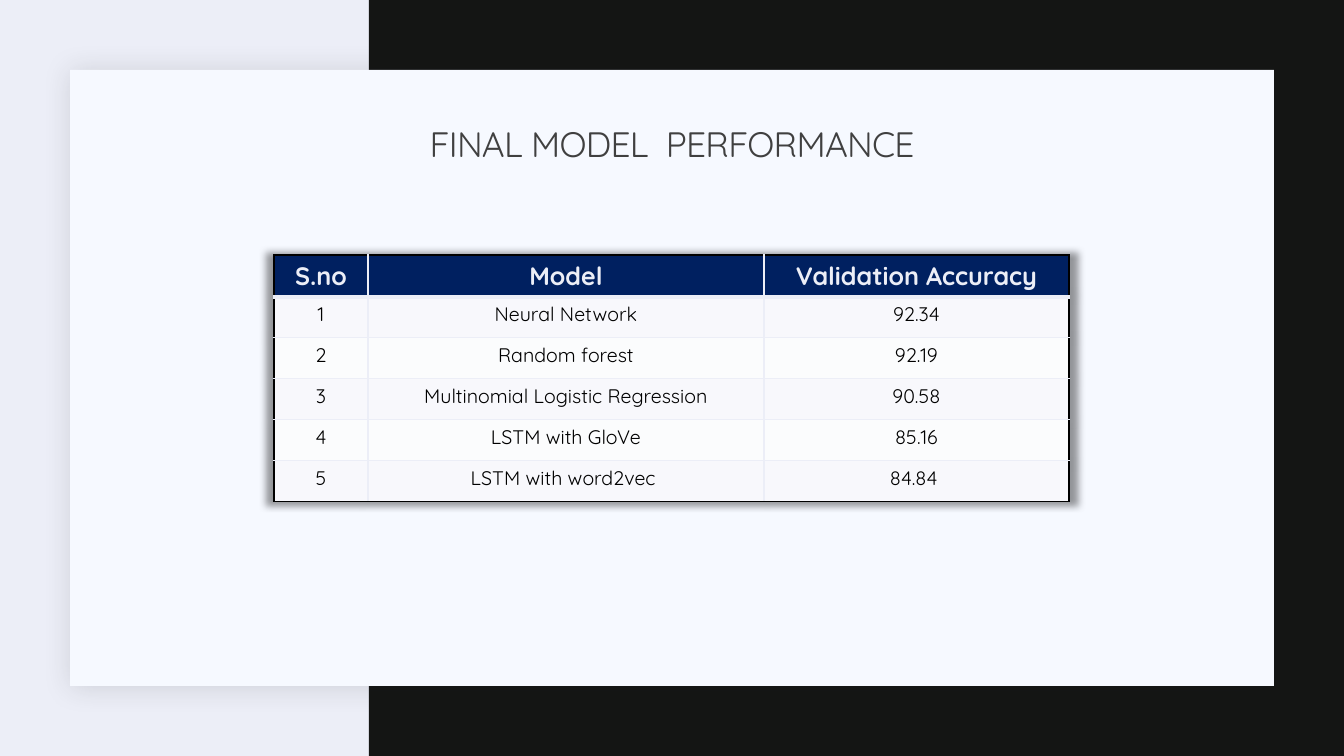
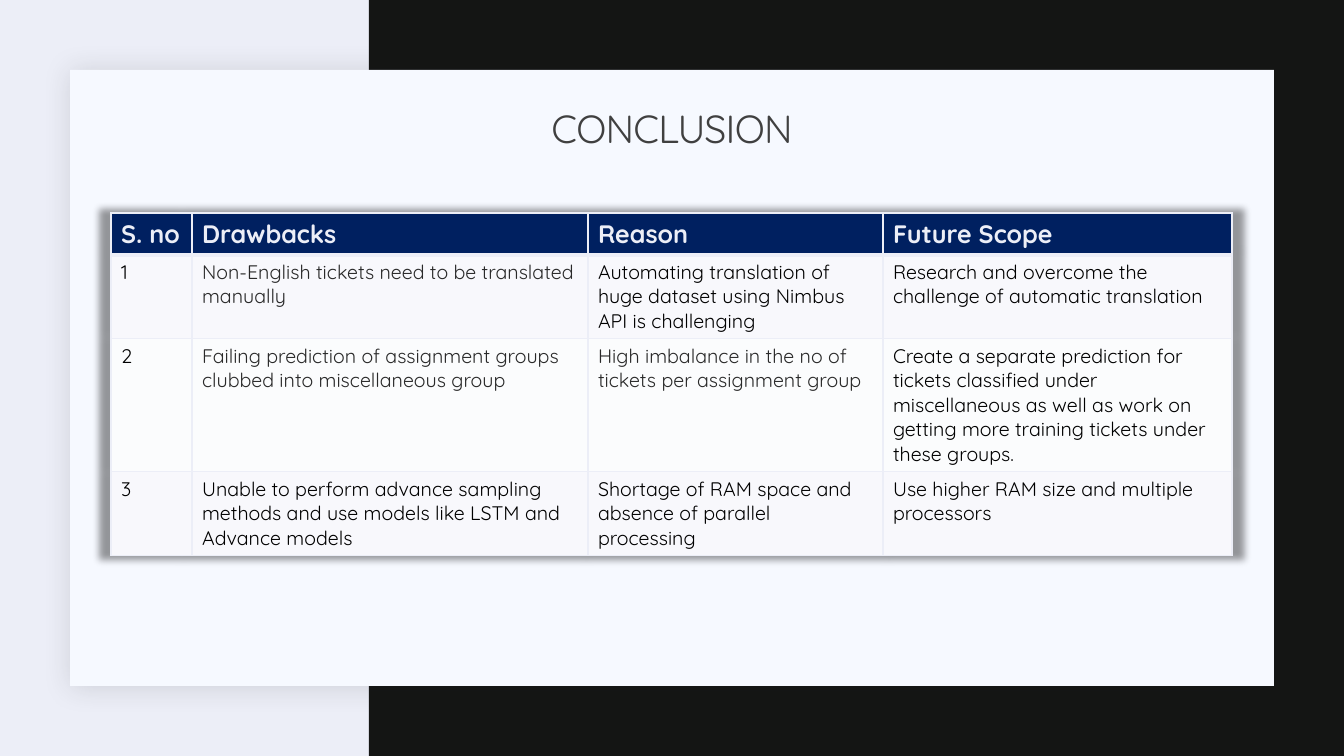
from lxml.etree import SubElement
from pptx import Presentation
from pptx.dml.color import RGBColor
from pptx.enum.shapes import MSO_SHAPE as Shape
from pptx.enum.text import MSO_ANCHOR as Anchor, MSO_AUTO_SIZE as Fit, PP_ALIGN as Align
from pptx.oxml import parse_xml
from pptx.oxml.ns import nsdecls, qn
from pptx.util import Emu, Pt

PALE = RGBColor(0xEC, 0xEE, 0xF7)
DARK = RGBColor(0x14, 0x15, 0x14)
CARD = RGBColor(0xF6, 0xF9, 0xFF)
SHADE = RGBColor(0x1F, 0x21, 0x25)
SLATE = RGBColor(0x40, 0x40, 0x40)
NAVY = RGBColor(0x00, 0x20, 0x60)
BLACK = RGBColor(0, 0, 0)
SOFT = RGBColor(0x29, 0x29, 0x29)
BANDS = RGBColor(0xFB, 0xFC, 0xFD), RGBColor(0xF8, 0xF8, 0xFC)

FACE = "Quicksand"
HEAD = {"name": FACE, "size": Pt(18), "bold": True}
BODY = {"name": FACE, "size": Pt(14), "bold": False}
WIDE, HIGH = 1344, 756

SCORES = [
    ["S.no", "Model", "Validation Accuracy"],
    ["1", "Neural Network", "92.34"],
    ["2", "Random forest", "92.19"],
    ["3", "Multinomial Logistic Regression", "90.58"],
    ["4", "LSTM with GloVe", "85.16"],
    ["5", "LSTM with word2vec ", "84.84 "],
]
LESSONS = [
    ["S. no", "Drawbacks", "Reason", "Future Scope"],
    ["1", "Non-English tickets need to be translated manually",
     "Automating translation of huge dataset using Nimbus API is challenging",
     "Research and overcome the challenge of automatic translation"],
    ["2", "Failing prediction of assignment groups clubbed into miscellaneous group",
     "High imbalance in the no of tickets per assignment group",
     "Create a separate prediction for tickets classified under miscellaneous as well as "
     "work on getting more training tickets under these groups."],
    ["3", "Unable to perform advance sampling methods and use models like LSTM and Advance models",
     "Shortage of RAM space and absence of parallel processing",
     "Use higher RAM size and multiple processors"],
]


def px(n):
    return Emu(round(n * 914400 / 100.8))


def style(font, color, form):
    for key, value in form.items():
        setattr(font, key, value)
    font.color.rgb = color


def glow(parent, color, alpha, **form):
    """Add an outer shadow to an effect list."""
    shadow = SubElement(parent, qn("a:outerShdw"), {k: str(v) for k, v in form.items()})
    tint = SubElement(shadow, qn("a:srgbClr"), val=str(color))
    SubElement(tint, qn("a:alpha"), val=str(alpha * 1000))


def panel(slide, box, color):
    shape = slide.shapes.add_shape(Shape.RECTANGLE, *map(px, box))
    shape.shadow.inherit = False
    shape.fill.solid()
    shape.fill.fore_color.rgb = color
    shape.line.fill.background()
    return shape


def frame(layout, slide):
    """Draw the backdrop on a slide, then move it to the shared layout."""
    layout.background.fill.solid()
    layout.background.fill.fore_color.rgb = PALE
    for holder in list(layout.placeholders):
        if holder.placeholder_format.idx >= 10:
            holder.element.getparent().remove(holder.element)
    band = panel(slide, (369, 0, WIDE - 369, HIGH), DARK)
    card = panel(slide, (70, 70, WIDE - 140, HIGH - 140), CARD)
    glow(card.element.spPr.find(qn("a:effectLst")), SHADE, 15,
         blurRad=Pt(20), dist=Pt(2), dir=45 * 60000, algn="tl", rotWithShape=0)
    for spot, shape in enumerate((band, card), 2):
        layout.shapes.element.insert(spot, shape.element)


def title(slide, text, top, size):
    shape = slide.shapes.title
    box = {"left": 402, "top": top, "width": 540, "height": 65}
    for key, value in box.items():
        setattr(shape, key, px(value))
    frame = shape.text_frame
    for key, value in {"auto_size": Fit.NONE, "word_wrap": True,
                       "vertical_anchor": Anchor.MIDDLE}.items():
        setattr(frame, key, value)
    para = frame.paragraphs[0]
    para.alignment, para.line_spacing = Align.CENTER, 0.9
    run = para.add_run()
    run.text = text
    style(run.font, SLATE, {"name": FACE, "size": Pt(size)})
    run.font._element.set("spc", "-50")


def edges(cell, sides):
    """Set cell borders from (side, colour, points), in the order L, R, T, B."""
    props = cell._tc.get_or_add_tcPr()
    for spot, (side, color, wide) in enumerate(sides):
        props.insert(spot, parse_xml(
            f'<a:ln{side} {nsdecls("a")} w="{Pt(wide)}"><a:solidFill>'
            f'<a:srgbClr val="{color}"/></a:solidFill></a:ln{side}>'))


def grid(slide, at, cols, rows, data, align, rim, soft=()):
    """Place a table; rim colours its outer edge, soft lists cells in grey."""
    box = (*at, sum(cols), sum(rows))
    table = slide.shapes.add_table(len(rows), len(cols), *map(px, box)).table
    for col, wide in zip(table.columns, cols):
        col.width = px(wide)
    for row, high in zip(table.rows, rows):
        row.height = px(high)
    props = table._tbl.tblPr
    effect = parse_xml(f'<a:effectLst {nsdecls("a")}/>')
    props.insert(0, effect)
    glow(effect, BLACK, 40, blurRad=Pt(5), sx=102000, sy=102000, algn="ctr", rotWithShape=0)
    last, end = len(rows) - 1, len(cols) - 1
    for r, line in enumerate(data):
        for c, text in enumerate(line):
            cell = table.cell(r, c)
            cell.fill.solid()
            cell.fill.fore_color.rgb = BANDS[r % 2] if r else NAVY
            edges(cell, [
                ("L", PALE if c else rim, 1),
                ("R", PALE if c < end else rim, 1),
                ("T", PALE if r else rim, 3 if r == 1 else 1),
                ("B", PALE if r < last else rim, 1 if r else 3),
            ])
            para = cell.text_frame.paragraphs[0]
            para.alignment = align
            run = para.add_run()
            run.text = text
            ink = SOFT if (r, c) in soft else BLACK
            style(run.font, ink if r else PALE, BODY if r else HEAD)


def main():
    deck = Presentation()
    deck.slide_width, deck.slide_height = px(WIDE), px(HIGH)
    layout = deck.slide_layouts[5]
    scores, lessons = (deck.slides.add_slide(layout) for _ in range(2))
    frame(layout, scores)

    title(scores, "FINAL MODEL  PERFORMANCE", 114, 25.2)
    grid(scores, (274, 255), (94, 396, 305), [41] * 6, SCORES, Align.CENTER, BLACK)

    title(lessons, "CONCLUSION", 98, 28)
    grid(lessons, (111, 213), (81, 396, 295, 349), (41, 84, 133, 84), LESSONS,
         Align.LEFT, PALE, {(1, 1), (2, 1), (2, 2)})
    deck.save("out.pptx")


if __name__ == "__main__":
    main()
